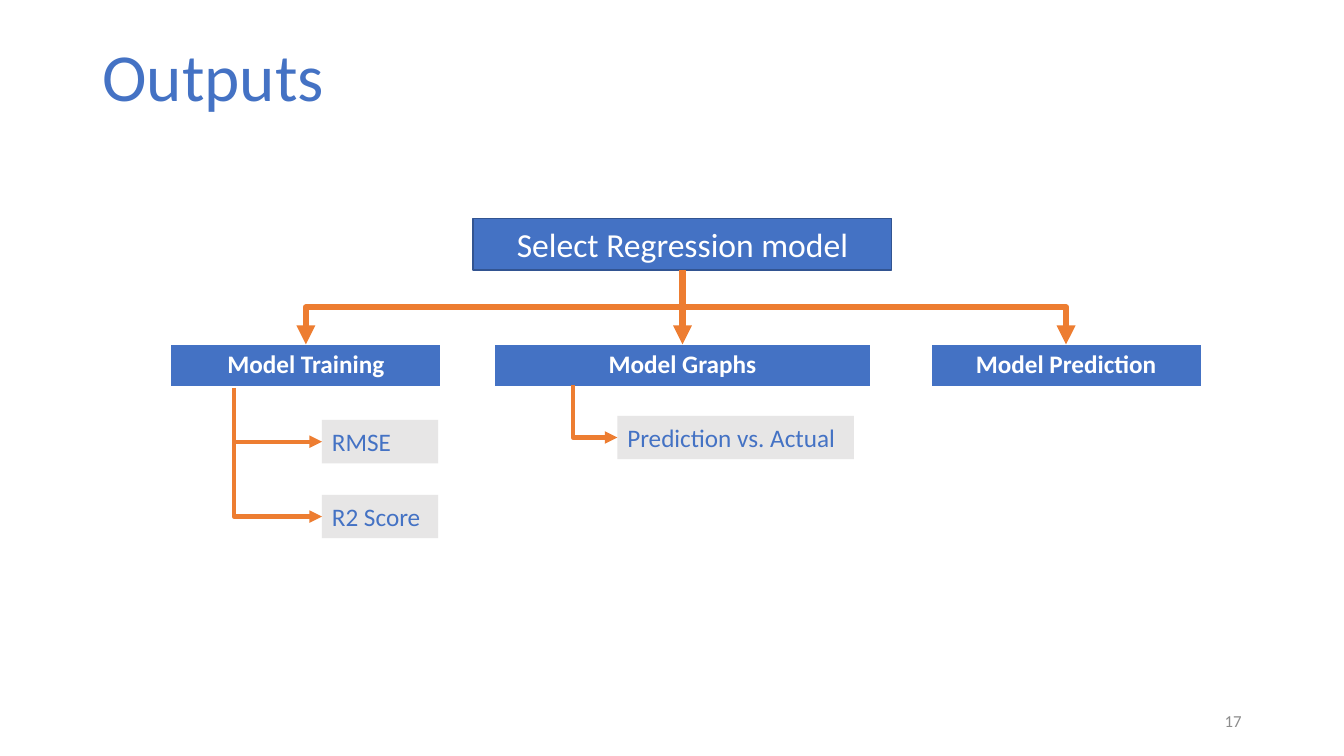
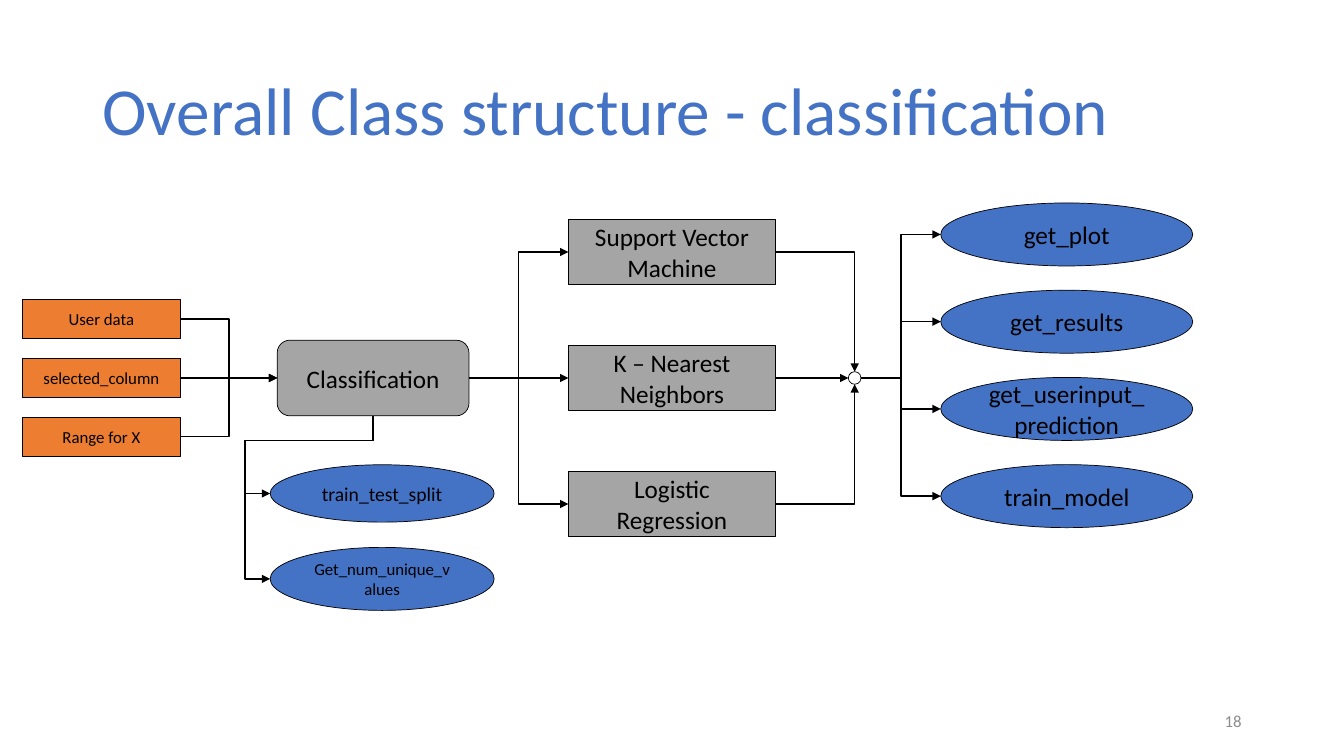
from lxml.etree import SubElement
from pptx import Presentation
from pptx.dml.color import RGBColor
from pptx.enum.shapes import MSO_CONNECTOR, MSO_SHAPE
from pptx.enum.text import MSO_ANCHOR, PP_ALIGN
from pptx.oxml.ns import qn
from pptx.util import Pt

COLORS = {
    "blue": "4472C4",
    "navy": "325491",
    "orange": "ED7D31",
    "gray": "A5A5A5",
    "pale": "E7E6E6",
    "number": "8C8C8C",
    "black": "000000",
    "white": "FFFFFF",
}
TOP, LEFT, BOTTOM, RIGHT = range(4)
ROUND_SHAPES = (MSO_SHAPE.OVAL, MSO_SHAPE.FLOWCHART_CONNECTOR)


class DiagramDeck:
    """Hold the shared style and the current slide, and draw each kind of element."""

    font_name = "Calibri"

    def __init__(self):
        self.presentation = Presentation()
        self.presentation.slide_width = Pt(960)
        self.presentation.slide_height = Pt(540)
        self.slide = None
        self.round_ids = set()

    def color(self, name):
        return RGBColor.from_string(COLORS[name])

    def apply(self, target, formats):
        for name, value in formats.items():
            setattr(target, name, value)

    def put_text(self, frame, text, size, color, align=PP_ALIGN.CENTER, bold=False, spacing=None):
        paragraph = frame.paragraphs[0]
        self.apply(paragraph, {"alignment": align, "line_spacing": spacing})
        run = paragraph.add_run()
        run.text = text
        self.apply(run.font, {"name": self.font_name, "size": Pt(size), "bold": bold})
        run.font.color.rgb = self.color(color)

    def add_slide(self, title, number, top, height):
        self.slide = self.presentation.slides.add_slide(self.presentation.slide_layouts[5])
        shape = self.slide.shapes.title
        self.apply(shape, {"left": Pt(66), "top": Pt(top), "width": Pt(828), "height": Pt(height)})
        self.apply(shape.text_frame, {"vertical_anchor": MSO_ANCHOR.MIDDLE, "word_wrap": True})
        self.put_text(shape.text_frame, title, 48, "blue", PP_ALIGN.LEFT, spacing=0.9)
        box = self.slide.shapes.add_textbox(Pt(678), Pt(500.5), Pt(216), Pt(28.75))
        self.apply(box.text_frame, {"vertical_anchor": MSO_ANCHOR.MIDDLE, "word_wrap": True})
        self.put_text(box.text_frame, number, 12, "number", PP_ALIGN.RIGHT)

    def node(self, kind, box, fill, text="", size=18, color="black",
             align=PP_ALIGN.CENTER, line="black", line_width=0.5):
        shape = self.slide.shapes.add_shape(kind, *map(Pt, box))
        shape.shadow.inherit = False
        shape.fill.solid()
        shape.fill.fore_color.rgb = self.color(fill)
        if line:
            shape.line.color.rgb = self.color(line)
            shape.line.width = Pt(line_width)
        else:
            shape.line.fill.background()
        if kind in ROUND_SHAPES:
            self.round_ids.add((self.slide.slide_id, shape.shape_id))
        self.apply(shape.text_frame, {"vertical_anchor": MSO_ANCHOR.MIDDLE, "word_wrap": True})
        if text:
            self.put_text(shape.text_frame, text, size, color, align)
        return shape

    def output_label(self, box, text):
        return self.node(MSO_SHAPE.RECTANGLE, box, "pale", text, 18, "blue", PP_ALIGN.LEFT, None)

    def header_table(self, left, width, text):
        frame = self.slide.shapes.add_table(1, 1, Pt(left), Pt(246), Pt(width), Pt(31))
        self.apply(frame.table, {"first_row": False, "horz_banding": False})
        cell = frame.table.cell(0, 0)
        properties = cell._tc.get_or_add_tcPr()
        for side, thickness in {"lnL": 1, "lnR": 1, "lnT": 1, "lnB": 3}.items():
            border = SubElement(properties, qn(f"a:{side}"), w=str(Pt(thickness)))
            fill = SubElement(border, qn("a:solidFill"))
            SubElement(fill, qn("a:srgbClr"), val=COLORS["white"])
        cell.fill.solid()
        cell.fill.fore_color.rgb = self.color("blue")
        self.put_text(cell.text_frame, text, 18, "white", bold=True)
        return frame

    def attach(self, connector, connect, tag, shape, side):
        connect(shape, side)
        if (self.slide.slide_id, shape.shape_id) in self.round_ids:
            connector.element.find(f".//{qn(tag)}").set("idx", str(side * 2))

    def arrow(self, end, end_side, start=None, start_side=None, point=(0, 0),
              bends=0, downward=False, detour=None, color="black", width=1):
        kind = MSO_CONNECTOR.ELBOW if bends else MSO_CONNECTOR.STRAIGHT
        place = [Pt(value) for value in point]
        connector = self.slide.shapes.add_connector(kind, *place, *place)
        if start is not None:
            self.attach(connector, connector.begin_connect, "a:stCxn", start, start_side)
        self.attach(connector, connector.end_connect, "a:endCxn", end, end_side)
        if bends:
            self.bend(connector, bends, downward, detour)
        connector.line.color.rgb = self.color(color)
        connector.line.width = Pt(width)
        properties = connector.element.spPr
        SubElement(properties.find(qn("a:ln")), qn("a:tailEnd"), type="triangle")
        SubElement(properties, qn("a:effectLst"))

    def bend(self, connector, bends, downward, detour):
        properties = connector.element.spPr
        geometry = properties.find(qn("a:prstGeom"))
        geometry.set("prst", f"bentConnector{bends + 1}")
        across, down = connector.width, connector.height
        if detour:
            drop, overshoot = map(Pt, detour)
            ratios = (drop / down, 1 + overshoot / across)
            for index, ratio in enumerate(ratios, 1):
                SubElement(geometry.find(qn("a:avLst")), qn("a:gd"),
                           name=f"adj{index}", fmla=f"val {round(ratio * 100000)}")
        if downward:
            transform = properties.find(qn("a:xfrm"))
            leftward = transform.get("flipH") == "1"
            transform.set("rot", str((90 if leftward else 270) * 60000))
            transform.set("flipH", "0" if leftward else "1")
            shift = (across - down) // 2
            self.apply(connector, {"left": connector.left + shift, "top": connector.top - shift,
                                   "width": down, "height": across})


def build_outputs(deck):
    deck.add_slide("Outputs", "17", 26, 62.5)
    model = deck.node(MSO_SHAPE.RECTANGLE, (338, 156, 299, 37), "blue",
                      "Select Regression model", 24, "white", line="navy", line_width=1)
    training = deck.header_table(122, 193, "Model Training")
    graphs = deck.header_table(353, 269, "Model Graphs")
    prediction = deck.header_table(665, 193, "Model Prediction")
    rmse = deck.output_label((230, 300, 83, 31), "RMSE")
    comparison = deck.output_label((441, 297, 169, 31), "Prediction vs. Actual")
    score = deck.output_label((230, 353.5, 83, 31), "R2 Score")
    for header, bends in ((training, 2), (graphs, 0), (prediction, 2)):
        deck.arrow(header, TOP, model, BOTTOM, bends=bends, downward=True,
                   color="orange", width=4.5)
    for label, point, bends in ((score, (167, 277), 1), (rmse, (167, 315.5), 0),
                                (comparison, (409, 275), 1)):
        deck.arrow(label, LEFT, point=point, bends=bends, downward=True,
                   color="orange", width=3)


def build_classification(deck):
    deck.add_slide("Overall Class structure - classification", "18", 29, 104)
    classifier = deck.node(MSO_SHAPE.ROUNDED_RECTANGLE, (198, 243, 137, 54), "gray",
                           "Classification")
    junction = deck.node(MSO_SHAPE.FLOWCHART_CONNECTOR, (606, 265.5, 9, 9), "white")
    for index, text in enumerate(("User data", "selected_column", "Range for X")):
        source = deck.node(MSO_SHAPE.RECTANGLE, (16, 214 + 42 * index, 113, 28),
                           "orange", text, 12)
        deck.arrow(classifier, LEFT, source, RIGHT, bends=0 if index == 1 else 2)
    models = ("Support Vector Machine", "K – Nearest Neighbors", "Logistic Regression")
    for index, (text, side) in enumerate(zip(models, (TOP, LEFT, BOTTOM))):
        model = deck.node(MSO_SHAPE.RECTANGLE, (406, 157 + 90 * index, 148, 46), "gray", text)
        middle = side == LEFT
        deck.arrow(model, LEFT, classifier, RIGHT, bends=0 if middle else 2)
        deck.arrow(junction, side, model, RIGHT, bends=0 if middle else 1)
    methods = ("get_plot", "get_results", "get_userinput_prediction", "train_model")
    for index, text in enumerate(methods):
        method = deck.node(MSO_SHAPE.OVAL, (672, 145 + 62.3 * index, 180, 45), "blue", text)
        deck.arrow(method, LEFT, junction, RIGHT, bends=2)
    for text, top, height, size in (("train_test_split", 332, 41, 14),
                                    ("Get_num_unique_values", 391, 45, 12)):
        helper = deck.node(MSO_SHAPE.OVAL, (193, top, 160, height), "blue", text, size)
        deck.arrow(helper, LEFT, classifier, BOTTOM, bends=3, downward=True, detour=(17.5, 18))


def main():
    deck = DiagramDeck()
    build_outputs(deck)
    build_classification(deck)
    deck.presentation.save("out.pptx")


if __name__ == "__main__":
    main()
